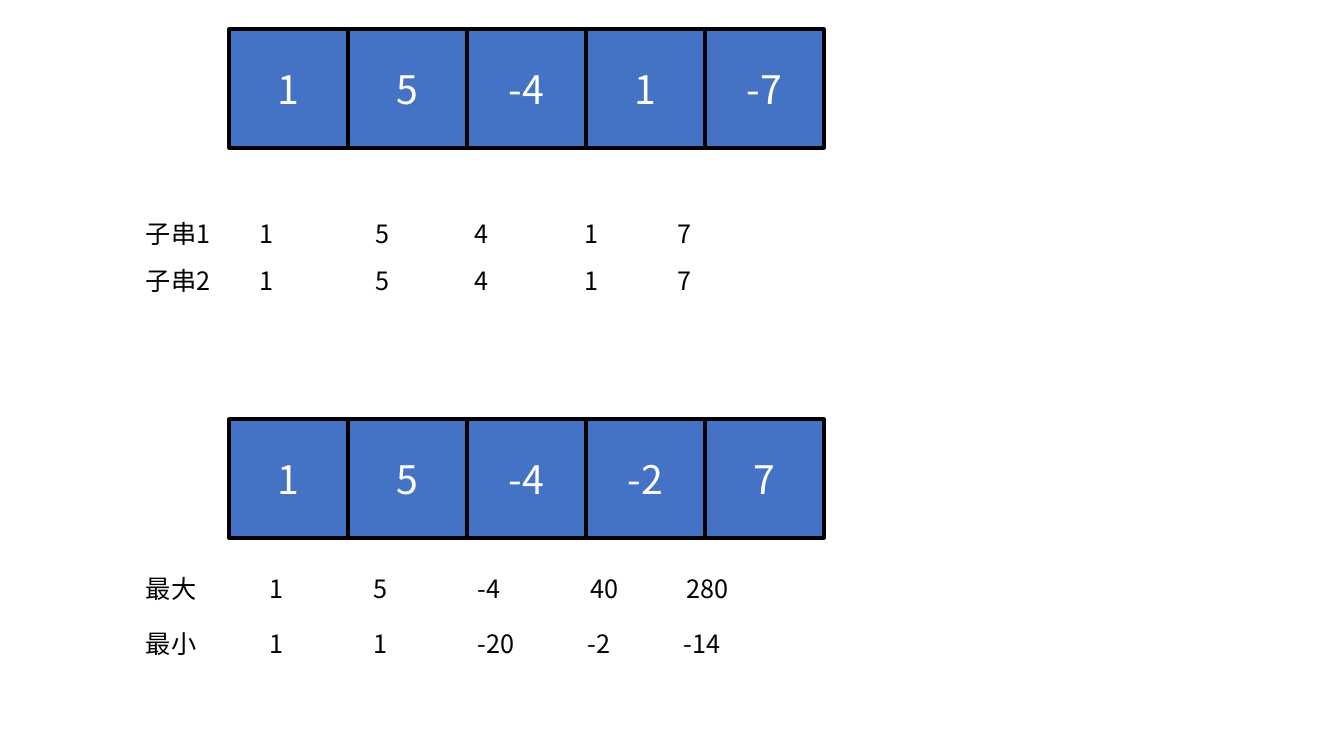
import dataclasses

import pptx
import pptx.dml.color
import pptx.enum.shapes
import pptx.enum.text
import pptx.oxml
import pptx.oxml.ns
import pptx.util

EMU_PER_PX = 914400 / 100.8


def px(length):
    return pptx.util.Emu(round(length * EMU_PER_PX))


@dataclasses.dataclass(frozen=True)
class Theme:
    font: str = "Noto Sans CJK SC"
    cell_fill: str = "4472C4"
    cell_text: str = "FFFFFF"
    ink: str = "000000"
    cell_size: int = 28
    row_size: int = 18
    border: float = 2.25


class ArraySlide:
    """Holds the theme and the current slide."""

    def __init__(self, slide, theme):
        self.slide = slide
        self.theme = theme

    def color(self, code):
        return pptx.dml.color.RGBColor.from_string(code)

    def style(self, paragraph, size, code):
        for run in paragraph.runs:
            run.font.name = self.theme.font
            run.font.size = pptx.util.Pt(size)
            run.font.color.rgb = self.color(code)
            east_asian = pptx.oxml.ns.qn("a:ea")
            run.font._element.get_or_add_latin().addnext(
                run.font._element.makeelement(east_asian, {"typeface": self.theme.font}))

    def cell(self, value, left, top, side):
        square = self.slide.shapes.add_shape(
            pptx.enum.shapes.MSO_SHAPE.RECTANGLE, px(left), px(top), px(side), px(side))
        square.shadow.inherit = False
        square.fill.solid()
        square.fill.fore_color.rgb = self.color(self.theme.cell_fill)
        square.line.color.rgb = self.color(self.theme.ink)
        square.line.width = pptx.util.Pt(self.theme.border)
        frame = square.text_frame
        frame.text = value
        frame.vertical_anchor = pptx.enum.text.MSO_ANCHOR.MIDDLE
        frame.paragraphs[0].alignment = pptx.enum.text.PP_ALIGN.CENTER
        self.style(frame.paragraphs[0], self.theme.cell_size, self.theme.cell_text)

    def array(self, values, top, left=229, side=119):
        for index, value in enumerate(values):
            self.cell(value, left + index * side, top, side)

    def row(self, entries, top, width, stops, left=136):
        label = self.slide.shapes.add_textbox(px(left), px(top), px(width), px(40))
        frame = label.text_frame
        frame.word_wrap = True
        frame.auto_size = pptx.enum.text.MSO_AUTO_SIZE.SHAPE_TO_FIT_TEXT
        frame.text = "\t".join(entries)
        paragraph = frame.paragraphs[0]
        self.style(paragraph, self.theme.row_size, self.theme.ink)
        # Tab stops line the values up in columns
        properties = paragraph._p.get_or_add_pPr()
        tabs = pptx.oxml.ns.qn("a:tabLst")
        tab_list = properties.makeelement(tabs, {})
        properties.append(tab_list)
        for stop in stops:
            tab_list.append(tab_list.makeelement(
                pptx.oxml.ns.qn("a:tab"), {"pos": str(px(stop)), "algn": "l"}))


def main():
    deck = pptx.Presentation()
    deck.slide_width, deck.slide_height = px(1344), px(756)
    page = ArraySlide(deck.slides.add_slide(deck.slide_layouts[6]), Theme())

    # First array with its two substrings
    page.array(["1", "5", "-4", "1", "-7"], top=29)
    substring_stops = [114, 230, 329, 439, 532]
    for name, top in (("子串1", 213), ("子串2", 260)):
        page.row([name, "1", "5", "4", "1", "7"], top, 688, substring_stops)

    # Second array with its running maximum and minimum
    page.array(["1", "5", "-4", "-2", "7"], top=419)
    page.row(["最大", "1", "5", "-4", "40", "280"], 568, 688, [124, 228, 332, 445, 541])
    page.row(["最小", "1", "1", "-20", "-2", "-14"], 623, 713, [124, 228, 332, 442, 538])

    deck.save("out.pptx")


if __name__ == "__main__":
    main()
